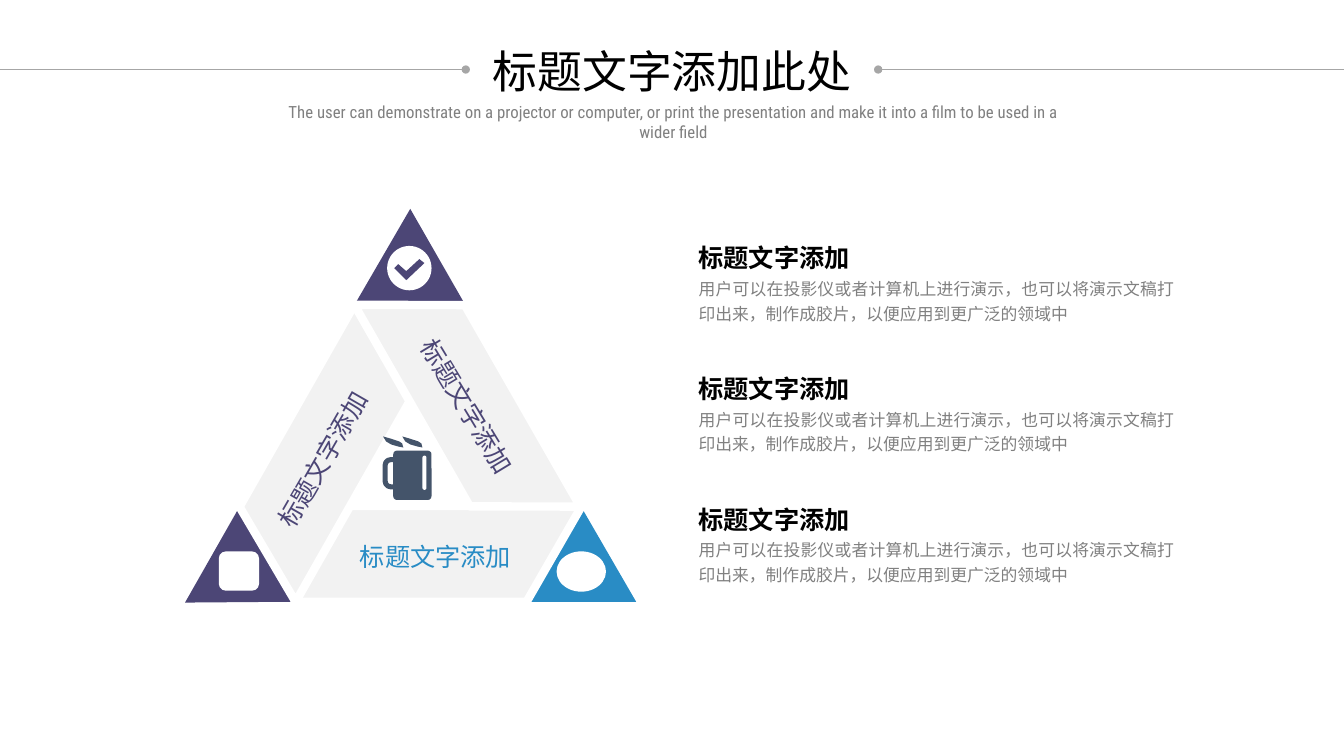
from dataclasses import dataclass

from lxml import etree
from pptx import Presentation
from pptx import util as u
from pptx.dml.color import RGBColor
from pptx.enum import shapes, text
from pptx.oxml.ns import qn

MSO = shapes.MSO_SHAPE
ALIGN = text.PP_ALIGN


@dataclass(frozen=True)
class Theme:
    purple: str = "4C4676"
    blue: str = "298CC5"
    slate: str = "44546A"
    bar: str = "F2F2F2"
    rule: str = "A6A6A6"
    grey: str = "808080"
    black: str = "000000"
    white: str = "FFFFFF"
    title_pt: int = 32
    head_pt: int = 18
    body_pt: int = 12
    display: str = "Roboto Condensed"
    sans: str = "Arial"


class Builder:
    def __init__(self, s, theme):
        self.s, self.t = s, theme

    def _paint(self, sp, fill, line=None, line_pt=0):
        sp.shadow.inherit = False
        if fill:
            sp.fill.solid()
            sp.fill.fore_color.rgb = RGBColor.from_string(fill)
        else:
            sp.fill.background()
        if line:
            sp.line.color.rgb = RGBColor.from_string(line)
            sp.line.width = u.Pt(line_pt)
        else:
            sp.line.fill.background()

    def shape(self, kind, x, y, w, h, fill, adj=None, rot=0, line=None, line_pt=0):
        sp = self.s.shapes.add_shape(kind, u.Inches(x), u.Inches(y), u.Inches(w), u.Inches(h))
        if adj is not None:
            sp.adjustments[0] = adj
        sp.rotation = rot
        self._paint(sp, fill, line, line_pt)

    def polygon(self, points, fill):
        pts = [(u.Inches(x), u.Inches(y)) for x, y in points]
        fb = self.s.shapes.build_freeform(*pts[0])
        fb.add_line_segments(pts[1:], close=True)
        self._paint(fb.convert_to_shape(), fill)

    def rule(self, x1, x2, y, dot_end):
        """Horizontal line with a dot at its headEnd or tailEnd."""
        cx = self.s.shapes.add_connector(shapes.MSO_CONNECTOR.STRAIGHT, u.Inches(x1),
                                         u.Inches(y), u.Inches(x2), u.Inches(y))
        cx.line.color.rgb = RGBColor.from_string(self.t.rule)
        cx.line.width = u.Pt(0.5)
        etree.SubElement(cx.line._ln, qn("a:" + dot_end), type="oval")
        etree.SubElement(cx._element.spPr, qn("a:effectLst"))

    def text(self, words, x, y, w, h, size, color, font=None, align=ALIGN.CENTER,
             spacing=None, bold=False, rot=0, wrap=True):
        sp = self.s.shapes.add_textbox(u.Inches(x), u.Inches(y), u.Inches(w), u.Inches(h))
        sp.rotation = rot
        tf = sp.text_frame
        tf.word_wrap = wrap
        tf.auto_size = text.MSO_AUTO_SIZE.SHAPE_TO_FIT_TEXT
        p = tf.paragraphs[0]
        p.text = words
        p.alignment = align
        if spacing:
            p.line_spacing = spacing
        p.font.name = font or self.t.sans
        p.font.size = u.Pt(size)
        p.font.bold = bold
        p.font.color.rgb = RGBColor.from_string(color)


def main():
    prs = Presentation()
    prs.slide_width, prs.slide_height = u.Inches(13.33), u.Inches(7.5)
    t = Theme()
    b = Builder(prs.slides.add_slide(prs.slide_layouts[6]), t)
    label = "标题文字添加"

    # Triangle: each side is a corner piece and a bar, turned together
    sides = [
        (0, 5.21, 5.02, t.blue, 2.91, 5.02, 2.86),
        (119.6, 1.97, 5.26, t.purple, 1.79, 4.01, 2.88),
        (240.2, 3.38, 2.31, t.purple, 3.21, 3.55, 2.85),
    ]
    for rot, tri_x, tri_y, color, bar_x, bar_y, bar_w in sides:
        b.shape(MSO.ISOSCELES_TRIANGLE, tri_x, tri_y, 1.1, 0.95, color, rot=rot)
        b.shape(MSO.PARALLELOGRAM, bar_x, bar_y, bar_w, 0.95, t.bar, adj=0.575,
                rot=rot, line=t.white, line_pt=6)

    # Corner icons
    b.shape(MSO.OVAL, 5.52, 5.47, 0.49, 0.4, t.white)
    b.shape(MSO.ROUNDED_RECTANGLE, 2.17, 5.47, 0.4, 0.39, t.white, adj=0.18)
    b.shape(MSO.OVAL, 3.84, 2.44, 0.44, 0.44, t.white)
    b.polygon([(3.91, 2.66), (3.95, 2.62), (4.03, 2.69), (4.16, 2.57),
               (4.21, 2.61), (4.03, 2.78)], t.purple)

    # Mug: handle, body, highlight, steam
    b.shape(MSO.ROUNDED_RECTANGLE, 3.82, 4.56, 0.14, 0.27, None, adj=0.4,
            line=t.slate, line_pt=3.6)
    b.shape(MSO.ROUNDED_RECTANGLE, 3.9, 4.47, 0.38, 0.49, t.slate, adj=0.1)
    b.shape(MSO.ROUNDED_RECTANGLE, 4.19, 4.52, 0.04, 0.34, t.white, adj=0.5)
    steam = [(0, 0), (0.07, 0.02), (0.16, 0.05), (0.19, 0.07), (0.2, 0.11),
             (0.15, 0.1), (0.08, 0.08), (0.03, 0.05)]
    for x in (3.8, 3.99):
        b.polygon([(x + dx, 4.33 + dy) for dx, dy in steam], t.slate)

    # Title block
    b.rule(0, 4.62, 0.69, "tailEnd")
    b.rule(8.71, 13.33, 0.69, "headEnd")
    b.text("标题文字添加此处", 4.77, 0.38, 3.79, 0.64, t.title_pt, t.black, t.display, wrap=False)
    b.text("The user can demonstrate on a projector or computer, or print the presentation "
           "and make it into a film to be used in a wider field",
           2.75, 0.96, 7.86, 0.3, t.body_pt, t.grey, t.display)

    # Descriptions
    for i in range(3):
        y = 2.3 + 1.295 * i
        b.text("用户可以在投影仪或者计算机上进行演示，也可以将演示文稿打印出来，"
               "制作成胶片，以便应用到更广泛的领域中",
               6.83, y + 0.38, 4.92, 0.59, t.body_pt, t.grey, align=ALIGN.JUSTIFY, spacing=1.2)
        b.text(label, 6.83, y, 2.28, 0.47, t.head_pt, t.black, align=ALIGN.JUSTIFY,
               spacing=1.2, bold=True)

    # Bar labels
    for x, y, rot, color in [(2.04, 4.31, 299.9, t.purple), (3.51, 3.78, 58.8, t.purple),
                             (3.18, 5.26, 0, t.blue)]:
        b.text(label, x, y, 2.28, 0.47, t.head_pt, color, spacing=1.2, rot=rot)

    prs.save("out.pptx")


if __name__ == "__main__":
    main()
